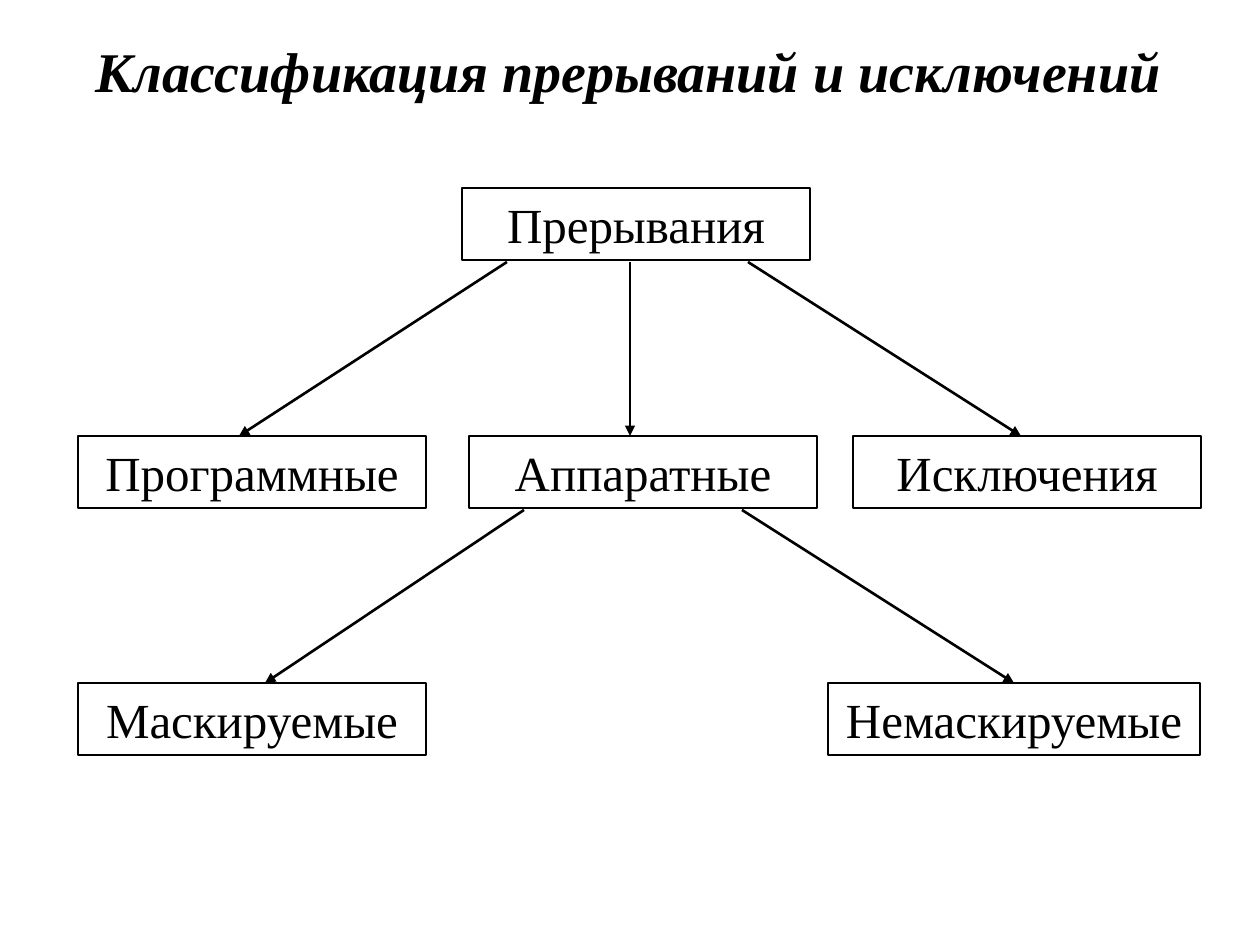
from dataclasses import dataclass

from lxml import etree
from pptx import Presentation
from pptx import util as u
from pptx.dml.color import RGBColor
from pptx.enum import shapes, text
from pptx.oxml import ns

PX = 914400 / 126


def emu(*vals):
    return [u.Emu(round(v * PX)) for v in vals]


@dataclass
class Theme:
    ink: RGBColor = RGBColor(0, 0, 0)
    face: str = "Times New Roman"
    head: int = 32
    body: int = 28
    rule: float = 1.5


class Deck:
    def __init__(self, theme):
        self.theme = theme
        self.prs = Presentation()
        self.prs.slide_width, self.prs.slide_height = emu(1260, 945)
        self.slide = self.prs.slides.add_slide(self.prs.slide_layouts[5])

    def label(self, shape, words, size, bold=False):
        frame = shape.text_frame
        frame.text = words
        frame.word_wrap = True
        frame.vertical_anchor = text.MSO_ANCHOR.MIDDLE
        para = frame.paragraphs[0]
        para.alignment = text.PP_ALIGN.CENTER
        for run in para.runs:
            font = run.font
            font.name, font.size = self.theme.face, u.Pt(size)
            font.bold = font.italic = bold
            font.color.rgb = self.theme.ink

    def stroke(self, shape):
        shape.line.color.rgb = self.theme.ink
        shape.line.width = u.Pt(self.theme.rule)

    def title(self, words, *area):
        shape = self.slide.shapes.title
        shape.left, shape.top, shape.width, shape.height = emu(*area)
        self.label(shape, words, self.theme.head, bold=True)

    def box(self, words, *area):
        kind = shapes.MSO_SHAPE.RECTANGLE
        shape = self.slide.shapes.add_shape(kind, *emu(*area))
        shape.shadow.inherit = False
        shape.fill.background()
        self.stroke(shape)
        self.label(shape, words, self.theme.body)

    def arrow(self, *ends):
        kind = shapes.MSO_CONNECTOR.STRAIGHT
        line = self.slide.shapes.add_connector(kind, *emu(*ends))
        self.stroke(line)
        props = line._element.spPr
        tip = etree.SubElement(props.find(ns.qn("a:ln")), ns.qn("a:tailEnd"))
        tip.set("type", "triangle")
        etree.SubElement(props, ns.qn("a:effectLst"))


def main():
    deck = Deck(Theme())
    deck.title("Классификация прерываний и исключений", 10, 14, 1237, 113)

    wide, high, gap = 348, 72, 2
    tops = [188, 436, 683]
    boxes = [
        ("Прерывания", 462, 0, wide),
        ("Программные", 78, 1, wide),
        ("Аппаратные", 469, 1, wide),
        ("Исключения", 853, 1, wide),
        ("Маскируемые", 78, 2, wide),
        ("Немаскируемые", 828, 2, 372),
    ]
    for words, left, row, width in boxes:
        deck.box(words, left, tops[row], width, high)

    arrows = [
        (0, 507, 239),
        (0, 630, 630),
        (0, 748, 1021),
        (1, 524, 265),
        (1, 742, 1014),
    ]
    for row, start, end in arrows:
        deck.arrow(start, tops[row] + high + gap, end, tops[row + 1])

    deck.prs.save("out.pptx")


if __name__ == "__main__":
    main()
